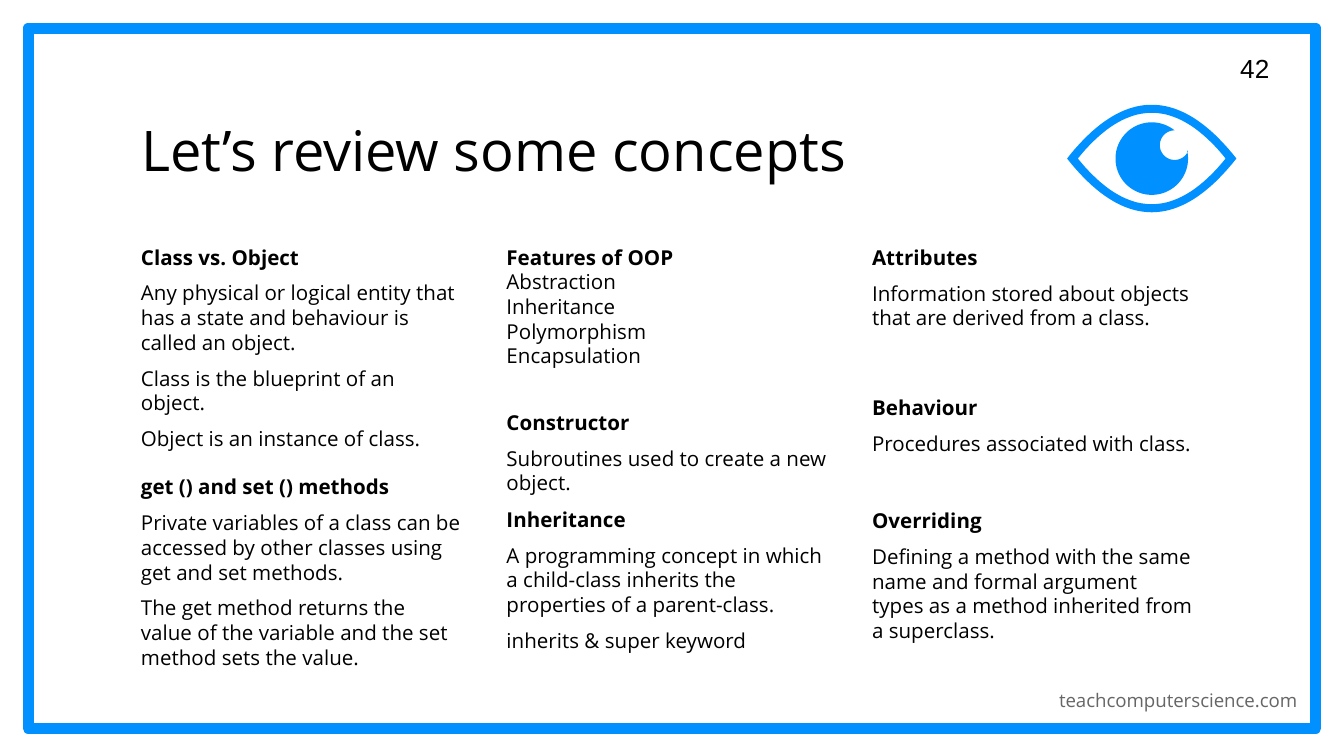
from math import cos, radians, sin

from lxml.etree import SubElement
from pptx import Presentation
from pptx.dml.color import RGBColor
from pptx.enum.shapes import MSO_SHAPE
from pptx.enum.text import MSO_ANCHOR, PP_ALIGN
from pptx.oxml.ns import qn
from pptx.util import Inches, Pt

COLORS = {"blue": "0090FF", "black": "000000", "grey": "666666", "white": "FFFFFF"}


def write(shape, lines, size, color="black", font="Open Sans", space=0, heading=False,
          align=PP_ALIGN.LEFT, anchor=MSO_ANCHOR.TOP):
    tf = shape.text_frame
    frame_format = {"word_wrap": True, "vertical_anchor": anchor}
    for side in ("left", "top", "right", "bottom"):
        frame_format[f"margin_{side}"] = Inches(0.1)
    for name, value in frame_format.items():
        setattr(tf, name, value)
    for i, line in enumerate(lines):
        p = tf.paragraphs[0] if i == 0 else tf.add_paragraph()
        p.alignment = align
        p.space_before = Pt(space if i else 0)
        r = p.add_run()
        r.text = line
        run_format = {"name": font, "size": Pt(size), "bold": heading and i == 0}
        for name, value in run_format.items():
            setattr(r.font, name, value)
        r.font.color.rgb = RGBColor.from_string(COLORS[color])


def draw_outline(shapes, contours):
    contours = [[(Inches(x), Inches(y)) for x, y in c] for c in contours]
    builder = shapes.build_freeform(*contours[0][0])
    for i, contour in enumerate(contours):
        if i:
            builder.move_to(*contour[0])
        builder.add_line_segments(contour[1:], close=True)
    sp = builder.convert_to_shape()
    sp.shadow.inherit = False
    sp.fill.solid()
    sp.fill.fore_color.rgb = RGBColor.from_string(COLORS["blue"])
    sp.line.fill.background()


prs = Presentation()
prs.slide_width = Inches(10)
prs.slide_height = Inches(10 * 9 / 16)
s = prs.slides.add_slide(prs.slide_layouts[5])

# Title
title = s.shapes.title
title.left, title.top, title.width, title.height = map(Inches, (0.95, 0.53, 5.57, 0.93))
write(title, ["Let’s review some concepts"], 30, anchor=MSO_ANCHOR.BOTTOM)

# Frame, placed behind the title
frame = s.shapes.add_shape(MSO_SHAPE.RECTANGLE, *map(Inches, (0.21, 0.21, 9.58, 5.21)))
frame.shadow.inherit = False
frame.fill.solid()
frame.fill.fore_color.rgb = RGBColor.from_string(COLORS["white"])
frame.line.color.rgb = RGBColor.from_string(COLORS["blue"])
frame.line.width = Pt(6)
SubElement(frame.line._get_or_add_ln(), qn("a:round"))
title.element.addprevious(frame.element)

# Website and page number
footer = s.shapes.add_textbox(*map(Inches, (7.67, 5.04, 2.08, 0.29)))
write(footer, ["teachcomputerscience.com"], 10, "grey", align=PP_ALIGN.RIGHT)
number = s.shapes.add_textbox(*map(Inches, (9.13, 0.29, 0.6, 0.43)))
write(number, ["42"], 14, font="Arial", anchor=MSO_ANCHOR.MIDDLE)

# Concepts: column, top, width, height, space between paragraphs, lines
concepts = [
    (0, 1.72, 2.58, 1.54, 6, [
        "Class vs. Object",
        "Any physical or logical entity that has a state and behaviour is called an object.",
        "Class is the blueprint of an object.",
        "Object is an instance of class."]),
    (0, 3.43, 2.58, 1.54, 6, [
        "get () and set () methods",
        "Private variables of a class can be accessed by other classes using get and set methods.",
        "The get method returns the value of the variable and the set method sets the value."]),
    (1, 1.72, 2.39, 1.54, 0, [
        "Features of OOP", "Abstraction", "Inheritance", "Polymorphism", "Encapsulation"]),
    (1, 2.95, 2.59, 1.45, 6, [
        "Constructor", "Subroutines used to create a new object."]),
    (1, 3.67, 2.59, 1.54, 6, [
        "Inheritance",
        "A programming concept in which a child-class inherits the properties of a parent-class.",
        "inherits & super keyword"]),
    (2, 1.72, 2.59, 1.45, 6, [
        "Attributes", "Information stored about objects that are derived from a class."]),
    (2, 2.84, 2.59, 1.45, 6, [
        "Behaviour", "Procedures associated with class."]),
    (2, 3.68, 2.59, 1.54, 6, [
        "Overriding",
        "Defining a method with the same name and formal argument types as a method "
        "inherited from a superclass."]),
]
for column, top, width, height, space, lines in concepts:
    box = s.shapes.add_textbox(Inches(0.95 + 2.72 * column), Inches(top),
                               Inches(width), Inches(height))
    write(box, lines, 11, space=space, heading=True)

# Eye: the lids are two rings, each made of two mirrored parabolas
eye_x, eye_y = 8.57, 1.18
steps = [i / 20 for i in range(-20, 21)]
lids = []
for half_width, half_height in [(0.63, 0.4), (0.55, 0.34)]:
    upper = [(t, t * t - 1) for t in steps]
    lower = [(t, 1 - t * t) for t in steps[-2:0:-1]]
    lids.append([(eye_x + half_width * x, eye_y + half_height * y) for x, y in upper + lower])
draw_outline(s.shapes, lids)

# Pupil: a disc with a round bite at the upper right
arcs = [(eye_x, eye_y, 0.27, range(-13, 309, 3)), (8.74, 1.08, 0.11, range(270, 20, -5))]
pupil = [(x + radius * cos(radians(a)), y + radius * sin(radians(a)))
         for x, y, radius, angles in arcs for a in angles]
draw_outline(s.shapes, [pupil])

prs.save("out.pptx")
